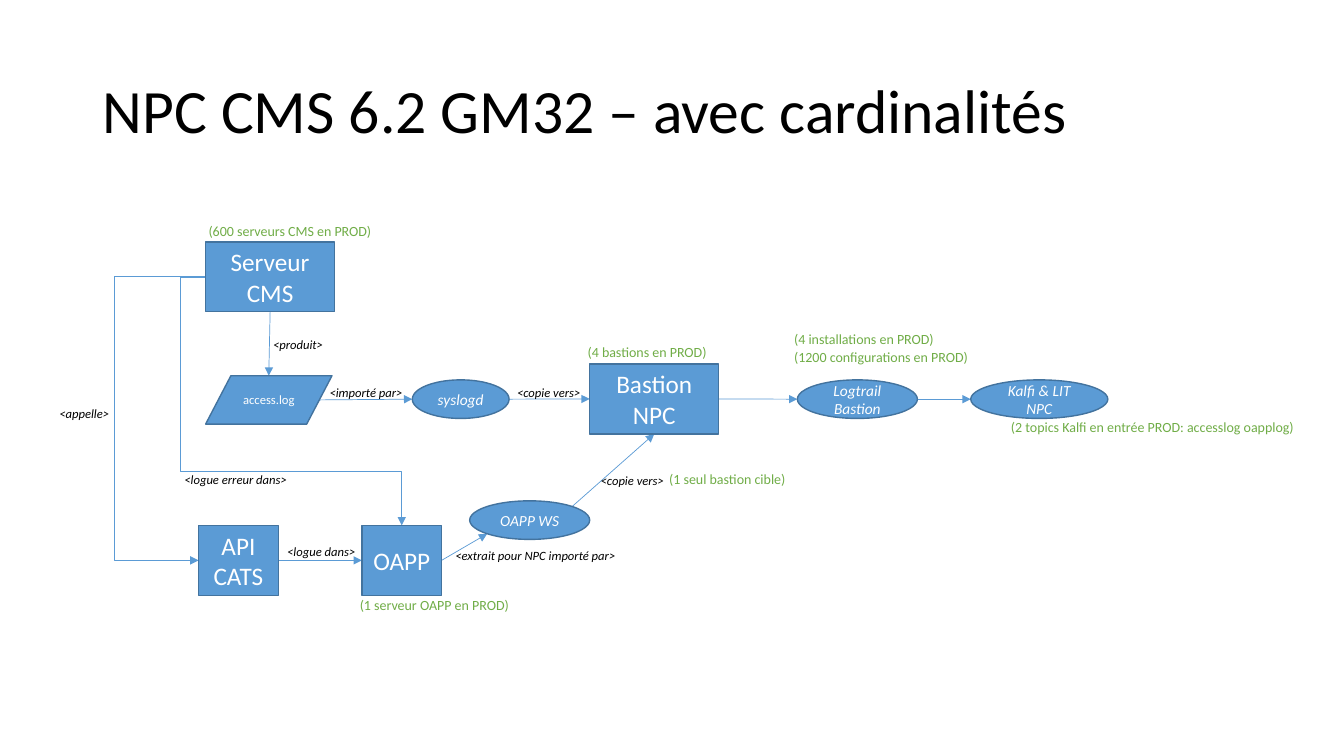
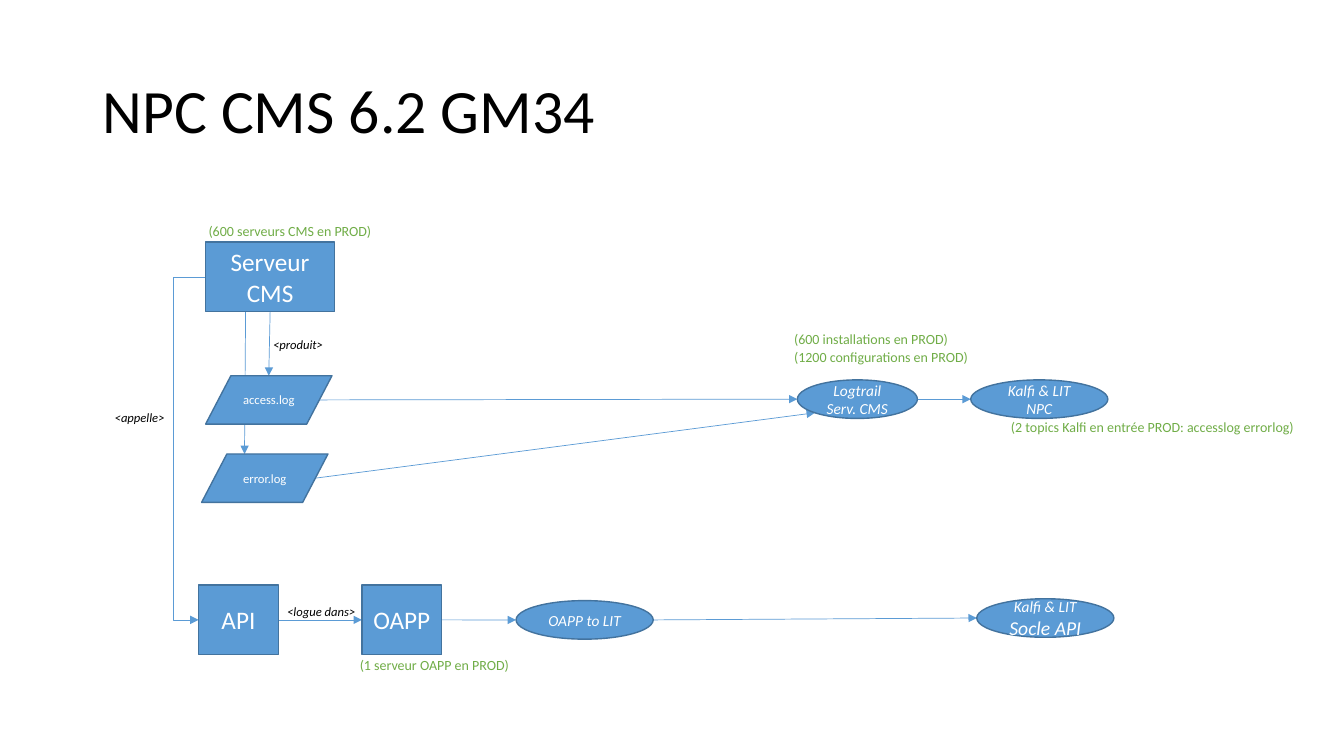
"""Build two slides that map how application logs travel between servers."""
from dataclasses import dataclass, replace
from typing import Optional

import pptx
import pptx.dml.color
import pptx.enum.shapes
import pptx.enum.text
import pptx.oxml
import pptx.oxml.ns
import pptx.util
from lxml import etree

SLIDE_WIDTH = pptx.util.Inches(13.33)
SLIDE_HEIGHT = pptx.util.Inches(7.5)
COLUMNS = ROWS = 100
FONT = "Calibri"
BLUE, DARK_BLUE, GREEN = "5B9BD5", "43739E", "70AD47"
BLACK, WHITE = "000000", "FFFFFF"

PRESETS = pptx.enum.shapes.MSO_SHAPE
ANCHOR_MIDDLE = pptx.enum.text.MSO_ANCHOR.MIDDLE
AUTO_SIZE = pptx.enum.text.MSO_AUTO_SIZE
ALIGN = pptx.enum.text.PP_ALIGN

TOP, BOTTOM, LEFT, RIGHT = (0.5, 0), (0.5, 1), (0, 0.5), (1, 0.5)
LOWER_LEFT, UPPER_RIGHT = (0.146, 0.854), (0.854, 0.146)
FILE_RIGHT = (0.9, 0.5)


@dataclass(frozen=True)
class Kind:
    """Outline and lettering shared by one family of nodes."""
    preset: int
    height: float
    size: int
    italic: bool = False


SERVER = Kind(PRESETS.RECTANGLE, 9.25, 18)
FILE = Kind(PRESETS.FLOWCHART_DATA, 6.4, 9)
PROCESS = Kind(PRESETS.OVAL, 5.1, 11, italic=True)


@dataclass(frozen=True)
class Node:
    """One step of the log flow, placed on the grid."""
    kind: Kind
    lines: tuple[str, ...]
    col: float
    row: float
    width: float
    last_size: Optional[int] = None

    def at(self, share: tuple[float, float]) -> tuple[float, float]:
        """Return the grid point at a share of the node's width and height."""
        return (self.col + share[0] * self.width,
                self.row + share[1] * self.kind.height)


@dataclass(frozen=True)
class Link:
    """An arrow between two nodes, bent where a bend is given."""
    source: Node
    target: Node
    leave: tuple[float, float] = RIGHT
    arrive: tuple[float, float] = LEFT
    bend_col: Optional[float] = None
    bend_row: Optional[float] = None


@dataclass(frozen=True)
class Caption:
    """Free text on the grid."""
    text: str
    col: float
    row: float
    width: float


@dataclass(frozen=True)
class Diagram:
    """The whole content of one slide."""
    title: str
    nodes: list[Node]
    links: list[Link]
    actions: list[Caption]
    counts: list[Caption]


def across(columns: float) -> int:
    """Convert grid columns to a length."""
    return round(SLIDE_WIDTH * columns / COLUMNS)


def down(rows: float) -> int:
    """Convert grid rows to a length."""
    return round(SLIDE_HEIGHT * rows / ROWS)


def rgb(value: str) -> pptx.dml.color.RGBColor:
    """Turn a hex string into a colour."""
    return pptx.dml.color.RGBColor.from_string(value)


def set_font(paragraph, size: int, colour: str, italic: bool = False) -> None:
    """Format all the text of a paragraph."""
    font = paragraph.font
    font.name, font.size, font.italic = FONT, pptx.util.Pt(size), italic
    font.color.rgb = rgb(colour)


def draw_title(slide, text: str) -> None:
    """Place and format the title placeholder."""
    title = slide.shapes.title
    title.left, title.top = across(6.9), down(5.33)
    title.width, title.height = across(86.25), down(19.33)
    frame = title.text_frame
    frame.text = text
    frame.auto_size = AUTO_SIZE.NONE
    frame.vertical_anchor = ANCHOR_MIDDLE
    paragraph = frame.paragraphs[0]
    paragraph.alignment, paragraph.line_spacing = ALIGN.LEFT, 0.9
    set_font(paragraph, 44, BLACK)


def draw_node(slide, node: Node) -> None:
    """Draw a filled shape with its centred lines."""
    kind = node.kind
    shape = slide.shapes.add_shape(kind.preset, across(node.col), down(node.row),
                                   across(node.width), down(kind.height))
    shape.shadow.inherit = False
    shape.fill.solid()
    shape.fill.fore_color.rgb = rgb(BLUE)
    shape.line.color.rgb = rgb(DARK_BLUE)
    shape.line.width = pptx.util.Pt(1)
    frame = shape.text_frame
    frame.text = "\n".join(node.lines)
    frame.word_wrap = True
    frame.vertical_anchor = ANCHOR_MIDDLE
    for paragraph in frame.paragraphs:
        paragraph.alignment = ALIGN.CENTER
        set_font(paragraph, kind.size, WHITE, kind.italic)
    if node.last_size:
        frame.paragraphs[-1].font.size = pptx.util.Pt(node.last_size)


def bend(connector, shares: list[float]) -> None:
    """Set the turning points of an elbow connector."""
    geometry = connector._element.spPr.find(pptx.oxml.ns.qn("a:prstGeom"))
    geometry.set("prst", f"bentConnector{len(shares) + 2}")
    guides = geometry.find(pptx.oxml.ns.qn("a:avLst"))
    if guides is None:
        guides = etree.SubElement(geometry, pptx.oxml.ns.qn("a:avLst"))
    for number, share in enumerate(shares, 1):
        guide = etree.SubElement(guides, pptx.oxml.ns.qn("a:gd"))
        guide.set("name", f"adj{number}")
        guide.set("fmla", f"val {round(share * 100000)}")


def draw_link(slide, link: Link) -> None:
    """Draw an arrow from one node to another."""
    start_col, start_row = link.source.at(link.leave)
    end_col, end_row = link.target.at(link.arrive)
    kinds = pptx.enum.shapes.MSO_CONNECTOR
    connector = slide.shapes.add_connector(
        kinds.STRAIGHT if link.bend_col is None else kinds.ELBOW,
        across(start_col), down(start_row), across(end_col), down(end_row))
    if link.bend_col is not None:
        shares = [(link.bend_col - start_col) / (end_col - start_col)]
        if link.bend_row is not None:
            shares.append((link.bend_row - start_row) / (end_row - start_row))
        bend(connector, shares)
    connector.line.color.rgb = rgb(BLUE)
    connector.line.width = pptx.util.Pt(0.5)
    outline = connector.line._get_or_add_ln()
    etree.SubElement(outline, pptx.oxml.ns.qn("a:tailEnd")).set("type", "triangle")
    etree.SubElement(connector._element.spPr, pptx.oxml.ns.qn("a:effectLst"))


def draw_caption(slide, caption: Caption, size: int, colour: str,
                 italic: bool = False) -> None:
    """Draw one unwrapped line of text."""
    box = slide.shapes.add_textbox(across(caption.col), down(caption.row),
                                   across(caption.width), down(size * 0.36))
    frame = box.text_frame
    frame.text = caption.text
    frame.word_wrap = False
    frame.auto_size = AUTO_SIZE.SHAPE_TO_FIT_TEXT
    set_font(frame.paragraphs[0], size, colour, italic)


def draw_diagram(deck, diagram: Diagram) -> None:
    """Add a slide and draw its diagram, arrows first."""
    slide = deck.slides.add_slide(deck.slide_layouts[5])
    draw_title(slide, diagram.title)
    for link in diagram.links:
        draw_link(slide, link)
    for node in diagram.nodes:
        draw_node(slide, node)
    for action in diagram.actions:
        draw_caption(slide, action, 9, BLACK, italic=True)
    for count in diagram.counts:
        draw_caption(slide, count, 10, GREEN)


CMS = Node(SERVER, ("Serveur CMS",), 15.3, 32, 9.6)
ACCESS_LOG = Node(FILE, ("access.log",), 15.3, 49.7, 9.4)
API = Node(SERVER, ("API", "CATS"), 14.78, 69.5, 5.93)
OAPP = Node(SERVER, ("OAPP",), 26.93, 69.5, 5.93)
COLLECTOR = Node(PROCESS, ("Logtrail", "Bastion"), 59.33, 50.25, 8.93)
STORE = Node(PROCESS, ("Kalfi & LIT", "NPC"), 72.23, 50.25, 10.2)

PRODUCES = Caption("<produit>", 19.58, 43.85, 5.33)
CALLS = Caption("<appelle>", 3.68, 53.05, 5.25)
LOGS_INTO = Caption("<logue dans>", 20.63, 71.3, 6.6)
COPIES_TO = Caption("<copie vers>", 37.73, 50.25, 6.3)
CMS_COUNT = Caption("(600 serveurs CMS en PROD)", 14.78, 28.8, 13.88)
CONFIG_COUNT = Caption("(1200 configurations en PROD)", 58.35, 45.45, 14.93)
OAPP_COUNT = Caption("(1 serveur OAPP en PROD)", 26.03, 78.25, 12.75)


def gm32() -> Diagram:
    """Describe the flow that passes through the bastion."""
    syslog = Node(PROCESS, ("syslogd",), 30.68, 50.25, 7.2)
    bastion = Node(SERVER, ("Bastion", "NPC"), 43.88, 48.15, 9.6)
    oapp_ws = Node(PROCESS, ("OAPP WS",), 34.95, 66.25, 8.93)
    return Diagram(
        "NPC CMS 6.2 GM32 – avec cardinalités",
        [CMS, ACCESS_LOG, API, OAPP, syslog, bastion, oapp_ws, COLLECTOR, STORE],
        [Link(CMS, ACCESS_LOG, BOTTOM, TOP),
         Link(CMS, API, LEFT, LEFT, bend_col=8.48),
         Link(CMS, OAPP, LEFT, TOP, bend_col=13.43, bend_row=62.4),
         Link(API, OAPP),
         Link(ACCESS_LOG, syslog, FILE_RIGHT),
         Link(syslog, bastion),
         Link(OAPP, oapp_ws, RIGHT, LOWER_LEFT),
         Link(oapp_ws, bastion, UPPER_RIGHT, BOTTOM),
         Link(bastion, COLLECTOR),
         Link(COLLECTOR, STORE)],
        [PRODUCES, CALLS, LOGS_INTO, COPIES_TO,
         replace(COPIES_TO, col=43.95, row=61.85),
         Caption("<importé par>", 23.78, 50.25, 6.98),
         Caption("<extrait pour NPC importé par>", 33.15, 71.85, 13.58),
         Caption("<logue erreur dans>", 12.98, 61.75, 9.23)],
        [CMS_COUNT, CONFIG_COUNT, OAPP_COUNT,
         Caption("(4 bastions en PROD)", 42.98, 44.8, 10.5),
         Caption("(4 installations en PROD)", 58.35, 43.05, 12.08),
         Caption("(1 seul bastion cible)", 49.05, 61.6, 10.28),
         Caption("(2 topics Kalfi en entrée PROD: accesslog oapplog)",
                 74.48, 54.65, 23.33)])


def gm34() -> Diagram:
    """Describe the flow collected directly on the servers."""
    lowering = 7.87
    api = replace(API, lines=("API",), row=API.row + lowering)
    oapp = replace(OAPP, row=OAPP.row + lowering)
    collector = replace(COLLECTOR, lines=("Logtrail", "Serv. CMS"))
    error_log = Node(FILE, ("error.log",), 15, 60.05, 9.4)
    exporter = Node(PROCESS, ("OAPP to LIT",), 38.4, 79.45, 10.2)
    api_store = Node(PROCESS, ("Kalfi & LIT", "Socle API"), 72.68, 79.2, 10.2,
                     last_size=14)
    return Diagram(
        "NPC CMS 6.2 GM34",
        [CMS, ACCESS_LOG, error_log, api, oapp, collector, STORE, exporter, api_store],
        [Link(CMS, ACCESS_LOG, BOTTOM, TOP),
         Link(CMS, error_log, (0.31, 1), (0.34, 0)),
         Link(CMS, api, LEFT, LEFT, bend_col=12.9),
         Link(api, oapp),
         Link(oapp, exporter),
         Link(exporter, api_store),
         Link(ACCESS_LOG, collector, FILE_RIGHT),
         Link(error_log, collector, FILE_RIGHT, LOWER_LEFT),
         Link(collector, STORE)],
        [PRODUCES, replace(CALLS, col=7.8, row=53.6),
         replace(LOGS_INTO, row=LOGS_INTO.row + lowering)],
        [CMS_COUNT, CONFIG_COUNT,
         replace(OAPP_COUNT, row=OAPP_COUNT.row + lowering),
         Caption("(600 installations en PROD)", 58.35, 43.05, 13.13),
         Caption("(2 topics Kalfi en entrée PROD: accesslog errorlog)",
                 74.48, 54.65, 23.4)])


def main() -> None:
    """Build and save the deck."""
    deck = pptx.Presentation()
    deck.slide_width, deck.slide_height = SLIDE_WIDTH, SLIDE_HEIGHT
    for diagram in (gm32(), gm34()):
        draw_diagram(deck, diagram)
    deck.save("out.pptx")


if __name__ == "__main__":
    main()
